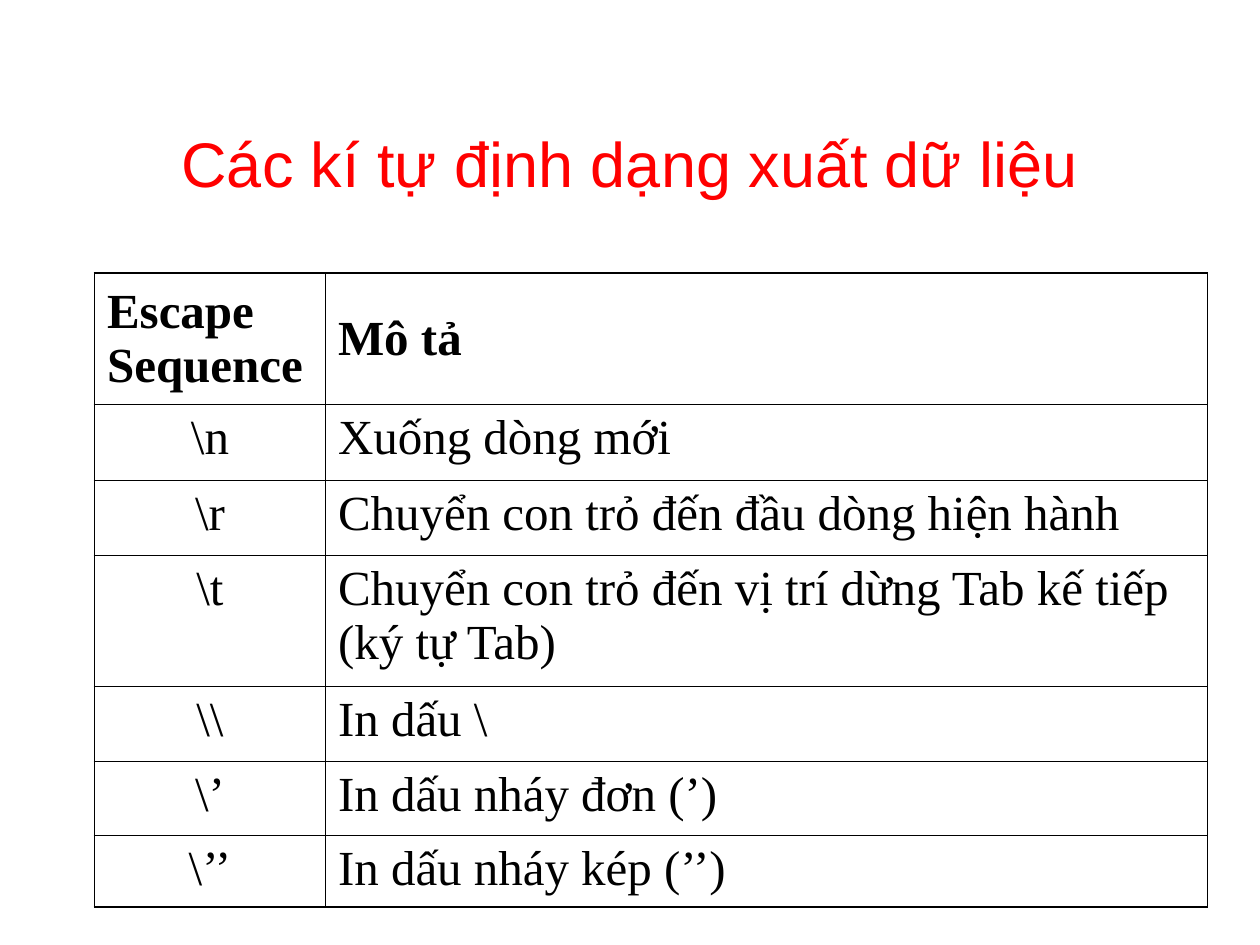
from lxml.etree import SubElement
from pptx import Presentation
from pptx.dml.color import RGBColor as RGB
from pptx.enum.text import MSO_ANCHOR as Anchor, PP_ALIGN as Align
from pptx.oxml.ns import qn
from pptx.util import Inches, Pt

THEME = {
    "title": {"name": "Arial", "size": Pt(36), "bold": False, "color": RGB(255, 0, 0)},
    "header": {"name": "Times New Roman", "size": Pt(28), "bold": True, "color": RGB(0, 0, 0)},
    "body": {"name": "Times New Roman", "size": Pt(28), "bold": False, "color": RGB(0, 0, 0)},
    "border": "000000",
    "outer": Pt(1.08),
    "inner": Pt(0.45),
}

ROWS = [
    ("Escape Sequence", "Mô tả"),
    (r"\n", "Xuống dòng mới"),
    (r"\r", "Chuyển con trỏ đến đầu dòng hiện hành"),
    (r"\t", "Chuyển con trỏ đến vị trí dừng Tab kế tiếp (ký tự Tab)"),
    (r"\\", "In dấu \\"),
    (r"\’", "In dấu nháy đơn (’)"),
    (r"\’’", "In dấu nháy kép (’’)"),
]

# Grid of 120 columns by 90 rows; its square unit serves both directions.
COLUMN_SPANS = [22, 84]
ROW_SPANS = [12.5, 7.3, 7.1, 12.5, 7.1, 7.1, 6.8]


def write(frame, text, style, align):
    paragraph = frame.paragraphs[0]
    paragraph.alignment = align
    run = paragraph.add_run()
    run.text = text
    for key, value in THEME[style].items():
        if key == "color":
            run.font.color.rgb = value
        else:
            setattr(run.font, key, value)
    return paragraph


def add_border(cell, side, width):
    """Draw one cell edge; side is L, R, T or B, called in that order."""
    line = SubElement(cell._tc.get_or_add_tcPr(), qn(f"a:ln{side}"), w=str(int(width)))
    fill = SubElement(line, qn("a:solidFill"))
    SubElement(fill, qn("a:srgbClr"), val=THEME["border"])


deck = Presentation()
deck.slide_width, deck.slide_height = Inches(10), Inches(7.5)
unit = deck.slide_width / 120
slide = deck.slides.add_slide(deck.slide_layouts[6])

title_area = [int(unit * n) for n in (9, 8, 102, 15)]
title = slide.shapes.add_textbox(*title_area).text_frame
title.word_wrap = True
title.vertical_anchor = Anchor.MIDDLE
write(title, "Các kí tự định dạng xuất dữ liệu", "title", Align.CENTER)

table_area = [int(unit * n) for n in (9, 26, sum(COLUMN_SPANS), sum(ROW_SPANS))]
escapes = slide.shapes.add_table(len(ROWS), len(COLUMN_SPANS), *table_area).table
escapes.first_row = escapes.horz_banding = False
for column, span in zip(escapes.columns, COLUMN_SPANS):
    column.width = int(unit * span)
for row, span in zip(escapes.rows, ROW_SPANS):
    row.height = int(unit * span)

last_row, last_column = len(ROWS) - 1, len(COLUMN_SPANS) - 1
for r, texts in enumerate(ROWS):
    for c, text in enumerate(texts):
        cell = escapes.cell(r, c)
        is_header = r == 0
        cell.vertical_anchor = Anchor.MIDDLE if is_header else Anchor.TOP
        align = Align.LEFT if is_header or c else Align.CENTER
        entry = write(cell.text_frame, text, "header" if is_header else "body", align)
        entry.space_before = Pt(7)
        on_edge = {"L": c == 0, "R": c == last_column, "T": r == 0, "B": r == last_row}
        for side, is_outer in on_edge.items():
            add_border(cell, side, THEME["outer" if is_outer else "inner"])
        cell.fill.background()

deck.save("out.pptx")
